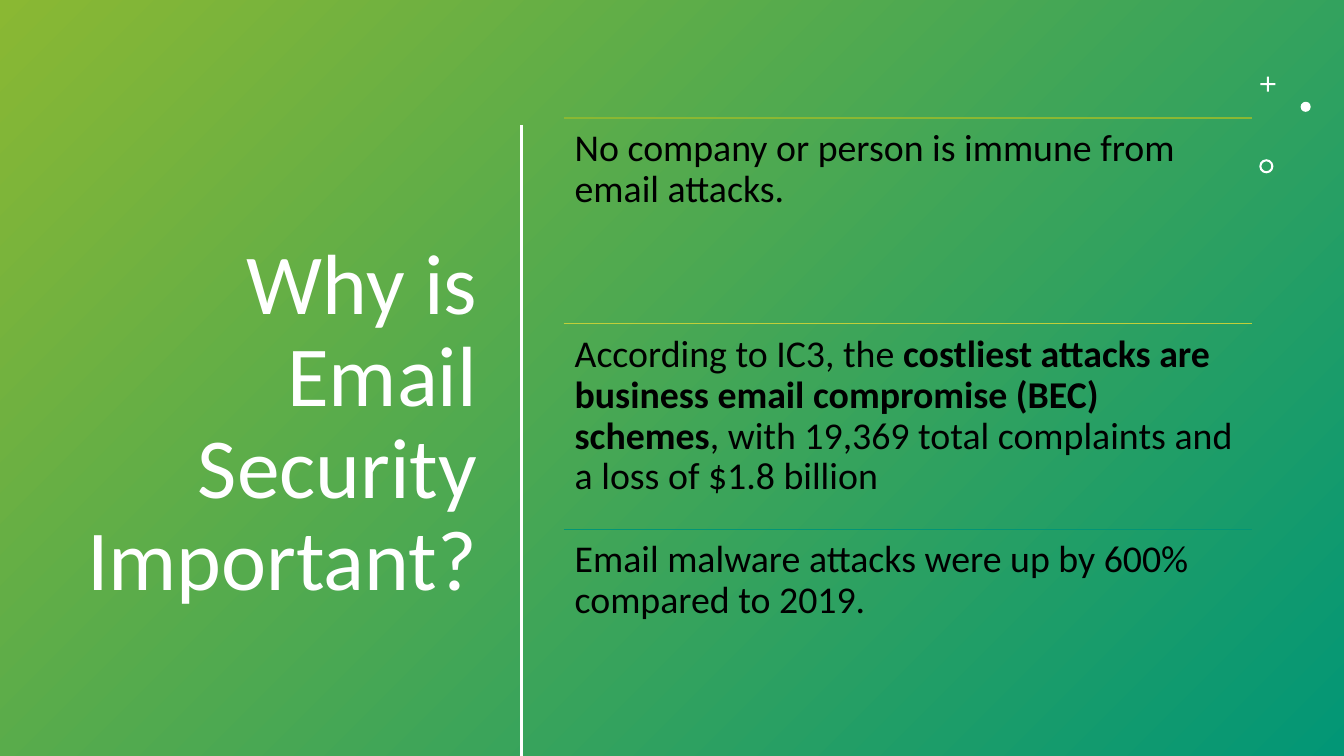
"""Build the slide on why email security is important."""
from dataclasses import dataclass

from lxml import etree
from pptx import Presentation
from pptx.dml import color as c
from pptx.enum import shapes as s, text as t
from pptx.oxml import ns
from pptx.util import Inches, Pt

HUES = {"lime": "8AB833", "olive": "C0CF3A", "teal": "029676",
        "white": "FFFFFF", "black": "000000"}
FACE = "Calibri"
LEFT, TOP, WIDE, STEP = 5.59, 1.17, 6.83, 2.04


@dataclass
class Point:
    hue: str
    runs: list[tuple[str, bool]]


@dataclass
class Mark:
    kind: s.MSO_SHAPE
    left: float
    top: float
    size: float
    bend: float | None = None


POINTS = [
    Point("lime", [("No company or person is immune from email attacks.", False)]),
    Point("olive", [
        ("According to IC3, the ", False),
        ("costliest attacks are business email compromise (BEC) schemes", True),
        (", with 19,369 total complaints and a loss of $1.8 billion", False)]),
    Point("teal", [("Email malware attacks were up by 600% compared to 2019.", False)]),
]
MARKS = [
    Mark(s.MSO_SHAPE.CROSS, 12.5, 0.76, 0.15, 0.43),
    Mark(s.MSO_SHAPE.OVAL, 12.9, 1.01, 0.1),
    Mark(s.MSO_SHAPE.DONUT, 12.49, 1.58, 0.14, 0.15),
]


def rgb(hue: str) -> c.RGBColor:
    return c.RGBColor.from_string(HUES[hue])


def add_rule(slide, x: float, y: float, x2: float, y2: float, hue: str, size: float) -> None:
    rule = slide.shapes.add_connector(
        s.MSO_CONNECTOR.STRAIGHT, Inches(x), Inches(y), Inches(x2), Inches(y2))
    rule.line.color.rgb = rgb(hue)
    rule.line.width = Pt(size)
    etree.SubElement(rule._element.spPr, ns.qn("a:effectLst"))


def add_text(slide, box: tuple[float, ...], runs: list[tuple[str, bool]],
             size: float, hue: str):
    frame = slide.shapes.add_textbox(*map(Inches, box)).text_frame
    frame.word_wrap = True
    para = frame.paragraphs[0]
    para.line_spacing = 0.9
    para.font.name = FACE
    para.font.size = Pt(size)
    para.font.color.rgb = rgb(hue)
    for words, bold in runs:
        run = para.add_run()
        run.text = words
        if bold:
            run.font.bold = True
    return frame


def add_back(slide, wide: int, high: int) -> None:
    back = slide.shapes.add_shape(s.MSO_SHAPE.RECTANGLE, 0, 0, wide, high)
    back.shadow.inherit = False
    back.line.fill.background()
    back.fill.gradient()
    back.fill.gradient_angle = 315
    for stop, hue in zip(back.fill.gradient_stops, ("lime", "teal")):
        stop.color.rgb = rgb(hue)


def add_title(slide) -> None:
    frame = add_text(slide, (0.52, 1.16, 4.31, 6.11),
                     [("Why is Email Security Important?", False)], 61, "white")
    frame.vertical_anchor = t.MSO_ANCHOR.MIDDLE
    frame.paragraphs[0].alignment = t.PP_ALIGN.RIGHT


def add_mark(slide, mark: Mark) -> None:
    size = Inches(mark.size)
    shape = slide.shapes.add_shape(
        mark.kind, Inches(mark.left), Inches(mark.top), size, size)
    shape.shadow.inherit = False
    shape.fill.solid()
    shape.fill.fore_color.rgb = rgb("white")
    shape.line.fill.background()
    if mark.bend is not None:
        shape.adjustments[0] = mark.bend


def add_point(slide, point: Point, top: float) -> None:
    add_rule(slide, LEFT, top, LEFT + WIDE, top, point.hue, 1)
    frame = add_text(slide, (LEFT, top, WIDE, STEP), point.runs, 27, "black")
    frame.margin_left = frame.margin_right = Inches(0.11)
    frame.margin_top = frame.margin_bottom = Inches(0.11)


def main() -> None:
    deck = Presentation()
    deck.slide_width, deck.slide_height = Inches(13.33), Inches(7.5)
    slide = deck.slides.add_slide(deck.slide_layouts[6])
    add_back(slide, deck.slide_width, deck.slide_height)
    add_title(slide)
    for mark in MARKS:
        add_mark(slide, mark)
    add_rule(slide, 5.17, 1.24, 5.17, 7.5, "white", 2)
    for row, point in enumerate(POINTS):
        add_point(slide, point, TOP + row * STEP)
    deck.save("out.pptx")


if __name__ == "__main__":
    main()
